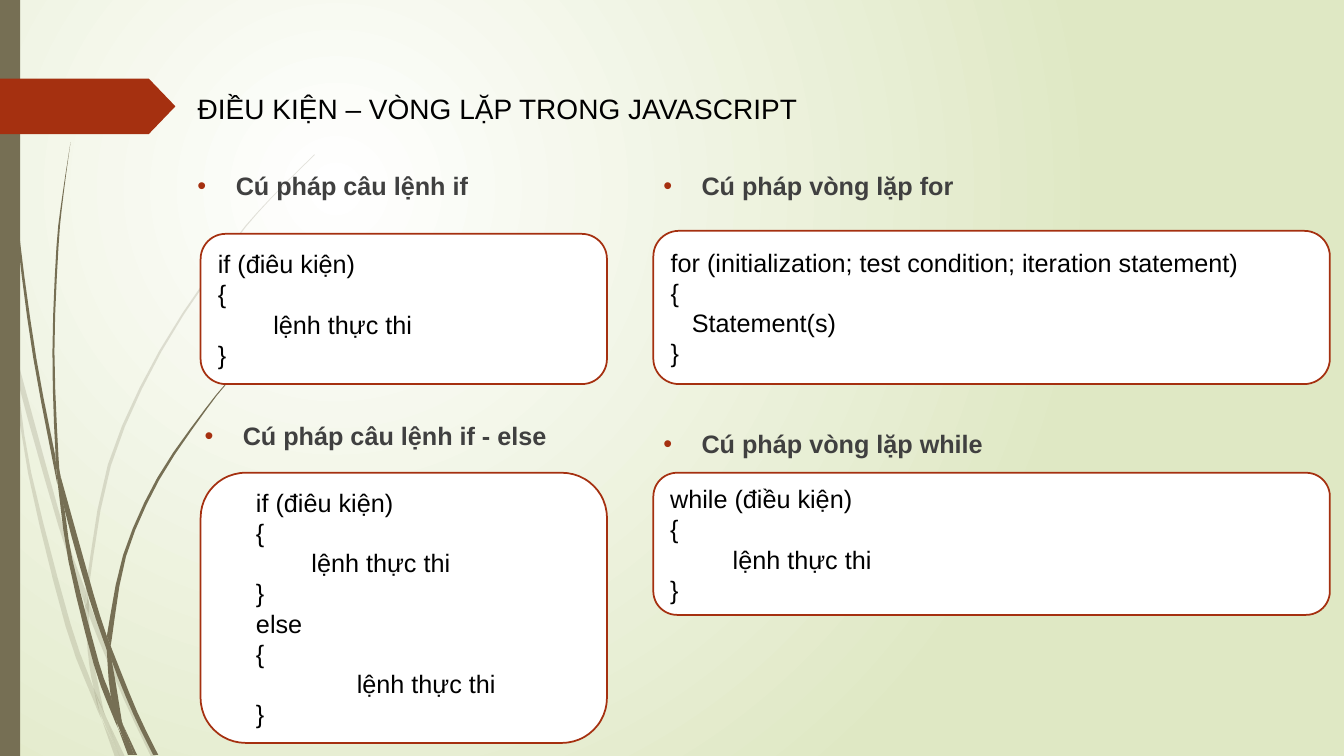
"""Build the slide on conditions and loops in JavaScript."""
import pptx
import pptx.dml.color
import pptx.enum.shapes
import pptx.enum.text
import pptx.oxml
import pptx.oxml.ns
import pptx.util

TITLE = "ĐIỀU KIỆN – VÒNG LẶP TRONG JAVASCRIPT"
HEADS = [
    ("Cú pháp câu lệnh if", 1.86, 1.64),
    ("Cú pháp câu lệnh if - else", 1.93, 4.12),
    ("Cú pháp vòng lặp for", 6.48, 1.64),
    ("Cú pháp vòng lặp while", 6.48, 4.2),
]
RUN = "lệnh thực thi"
CODES = [
    ((1.99, 2.32, 4.03, 1.49), 0, [("if (điêu kiện)", 0), ("{", 0), (RUN, 0.55), ("}", 0)]),
    ((1.99, 4.69, 4.03, 2.68), 0.32, [
        ("if (điêu kiện)", 0), ("{", 0), (RUN, 0.55), ("}", 0),
        ("else", 0), ("{", 0), (RUN, 1), ("}", 0)]),
    ((6.48, 2.29, 6.71, 1.52), 0, [
        ("for (initialization; test condition; iteration statement)", 0),
        ("{", 0), ("Statement(s)", 0.21), ("}", 0)]),
    ((6.48, 4.69, 6.71, 1.41), 0, [("while (điều kiện)", 0), ("{", 0), (RUN, 0.62), ("}", 0)]),
]
PALE = [
    ([(0.11, 3.5), (0.09, 3.22), (0, 2.82)], [(0, 2.99), (0.1, 3.44), (0.11, 3.5)]),
    ([(0.14, 3.45), (0.17, 3.76), (0.58, 5.22), (0.84, 5.99)], [(0.85, 5.86), (0.62, 5.2), (0.14, 3.45)]),
    ([(0.88, 5.96), (0.88, 6.1), (1.23, 6.94), (1.5, 7.51)], [(1.55, 7.51), (1.27, 6.92), (0.92, 6.07), (0.88, 5.96)]),
    ([(1.05, 7.11), (1.19, 7.51)], [(1.24, 7.51), (1.05, 7.11)]),
    ([(0.11, 3.5), (0.28, 4.7), (0.65, 6.21), (0.92, 6.93), (1.01, 7.14)],
     [(0.99, 7.07), (0.93, 6.83), (0.7, 6.19), (0.31, 4.69), (0.17, 3.76), (0.11, 3.5)]),
    ([(0.84, 5.99), (0.87, 6.46), (0.93, 6.83), (1.05, 7.11)], [(1.03, 7.06), (0.91, 6.46), (0.88, 6.1), (0.84, 5.99)]),
    ([(3.12, 1.53), (2.68, 1.97), (2.28, 2.44), (1.58, 3.48), (1.07, 4.61), (0.85, 5.84)],
     [(0.88, 5.96), (0.88, 5.84), (1.1, 4.62), (1.6, 3.49), (2.29, 2.45), (2.68, 1.98), (3.12, 1.54)]),
    ([(1.01, 7.14), (1.14, 7.51)], [(1.19, 7.51), (1.01, 7.14)]),
    ([(0.85, 5.86), (0.84, 5.99), (0.88, 6.08)], [(0.88, 6.1), (0.88, 5.96), (0.85, 5.86)]),
    ([(0.93, 6.83), (0.99, 7.07), (1.19, 7.51)], [(1.19, 7.51), (1.05, 7.11), (0.93, 6.83)]),
]
DARK = [
    ([(0.03, 0), (0.04, 0.48), (0.07, 1.1), (0.17, 2.33), (0.33, 3.55), (0.57, 4.81)],
     [(0.55, 4.53), (0.36, 3.55), (0.19, 2.32), (0.08, 1.09), (0.05, 0.48), (0.04, 0)]),
    ([(0.6, 4.72), (0.64, 5.05), (0.88, 5.92), (1.06, 6.45)], [(1.06, 6.31), (0.93, 5.9), (0.6, 4.72)]),
    ([(1.1, 6.41), (1.11, 6.56), (1.32, 7.08), (1.52, 7.49)], [(1.57, 7.49), (1.36, 7.06), (1.13, 6.49), (1.1, 6.41)]),
    ([(0.57, 4.77), (0.68, 5.57), (0.93, 6.59), (1.11, 7.08), (1.17, 7.22)],
     [(1.16, 7.17), (1.1, 6.91), (0.98, 6.57), (0.72, 5.56), (0.64, 5.05), (0.57, 4.77)]),
    ([(0.7, 1.41), (0.62, 1.93), (0.56, 2.45), (0.52, 3.49), (0.55, 4.49), (0.6, 4.72)],
     [(0.6, 4.72), (0.58, 4.53), (0.54, 3.49), (0.58, 2.45), (0.63, 1.93), (0.7, 1.41)]),
    ([(1.22, 7.19), (1.33, 7.49)], [(1.36, 7.49), (1.22, 7.19)]),
    ([(0.55, 4.49), (0.57, 4.77), (0.64, 5.05)], [(0.6, 4.72), (0.55, 4.49)]),
    ([(2.6, 3.44), (2.31, 3.73), (2.04, 4.05), (1.56, 4.74), (1.22, 5.51), (1.06, 6.31)],
     [(1.1, 6.41), (1.11, 6.33), (1.25, 5.52), (1.58, 4.76), (2.05, 4.06), (2.31, 3.74), (2.61, 3.44)]),
    ([(1.17, 7.22), (1.27, 7.49)], [(1.31, 7.49), (1.17, 7.22)]),
    ([(1.06, 6.45), (1.1, 6.91), (1.22, 7.19)], [(1.21, 7.16), (1.11, 6.56), (1.06, 6.45)]),
    ([(1.06, 6.31), (1.06, 6.45), (1.11, 6.56)], [(1.1, 6.41), (1.06, 6.31)]),
    ([(1.1, 6.91), (1.16, 7.17), (1.3, 7.49)], [(1.33, 7.49), (1.22, 7.19), (1.1, 6.91)]),
]
THEME = {
    "font": "Arial", "title": 20, "body": 18, "edge": 1.25,
    "ink": "000000", "head": "404040", "red": "A53010", "stem": "766F54",
    "white": "FFFFFF", "green": "DFE8C4",
}
KIND = pptx.enum.shapes.MSO_SHAPE
ANCHOR = pptx.enum.text.MSO_ANCHOR
INCH = pptx.util.Inches
QN = pptx.oxml.ns.qn


def tint(name):
    return pptx.dml.color.RGBColor.from_string(THEME[name])


def apply(item, looks):
    for key, value in looks.items():
        setattr(item, key, value)


def node(tag, **attrs):
    item = pptx.oxml.parse_xml(f"<{tag} {pptx.oxml.ns.nsdecls('a')}/>")
    for key, value in attrs.items():
        item.set(key, str(value))
    return item


def paint(shape, name, edge=None):
    shape.shadow.inherit = False
    shape.fill.solid()
    shape.fill.fore_color.rgb = tint(name)
    if edge:
        shape.line.color.rgb = tint(edge)
        shape.line.width = pptx.util.Pt(THEME["edge"])
    else:
        shape.line.fill.background()
    return shape


def write(frame, lines, size, ink, bold=False, anchor=ANCHOR.TOP):
    apply(frame, {"word_wrap": True, "vertical_anchor": anchor,
                  "auto_size": pptx.enum.text.MSO_AUTO_SIZE.NONE})
    for row, (text, inset) in enumerate(lines):
        para = frame.add_paragraph() if row else frame.paragraphs[0]
        para.alignment = pptx.enum.text.PP_ALIGN.LEFT
        props = para._p.get_or_add_pPr()
        props.set("marL", str(INCH(inset)))
        props.set("indent", "0")
        run = para.add_run()
        run.text = text
        apply(run.font, {"name": THEME["font"], "size": pptx.util.Pt(THEME[size]), "bold": bold})
        run.font.color.rgb = tint(ink)


def curve(dots, steps=3):
    ends = [dots[0], *dots, dots[-1]]
    line = []
    for knots in zip(ends, ends[1:], ends[2:], ends[3:]):
        for t in (step / steps for step in range(steps)):
            line.append(tuple(
                q + t / 2 * (r - p + t * (2 * p - 5 * q + 4 * r - s + t * (3 * (q - r) + s - p)))
                for p, q, r, s in zip(*knots)))
    return line + [dots[-1]]


def stem(shapes, sides, alpha):
    dots = [(INCH(x), INCH(y)) for side in sides for x, y in curve(side)]
    pen = shapes.build_freeform(*dots[0])
    pen.add_line_segments(dots[1:], close=True)
    shape = paint(pen.convert_to_shape(), "stem")
    if alpha < 100:
        shape._element.find(".//" + QN("a:srgbClr")).append(node("a:alpha", val=alpha * 1000))


def block(shapes, kind, box, name, edge=None):
    return paint(shapes.add_shape(kind, *map(INCH, box)), name, edge)


def backdrop(slide):
    fill = slide.background.fill
    fill.gradient()
    for stop, name in zip(fill.gradient_stops, ("white", "green")):
        stop.color.rgb = tint(name)
    grad = slide.element.find(".//" + QN("a:gradFill"))
    grad.remove(grad.find(QN("a:lin")))
    glow = node("a:path", path="circle")
    glow.append(node("a:fillToRect", l=50000, t=50000, r=100000, b=100000))
    grad.append(glow)


def build():
    deck = pptx.Presentation()
    apply(deck, {"slide_width": INCH(13.33), "slide_height": INCH(7.5)})
    slide = deck.slides.add_slide(deck.slide_layouts[5])
    shapes = slide.shapes
    backdrop(slide)
    for group, alpha in ((PALE, 20), (DARK, 100)):
        for sides in group:
            stem(shapes, sides, alpha)
    block(shapes, KIND.RECTANGLE, (0, 0, 0.2, 7.5), "stem")
    block(shapes, KIND.PENTAGON, (0, 0.78, 1.74, 0.55), "red").adjustments[0] = 0.48
    title = shapes.title
    apply(title, dict(zip(("left", "top", "width", "height"), map(INCH, (1.86, 0.86, 11.32, 0.44)))))
    write(title.text_frame, [(TITLE, 0)], "title", "ink")
    for box, inset, lines in CODES:
        frame = block(shapes, KIND.ROUNDED_RECTANGLE, box, "white", "red").text_frame
        write(frame, [(text, inset + gap) for text, gap in lines], "body", "ink", anchor=ANCHOR.MIDDLE)
    for text, left, top in HEADS:
        frame = shapes.add_textbox(*map(INCH, (left, top, 4.15, 0.57))).text_frame
        write(frame, [(text, 0.38)], "body", "head", bold=True)
        props = frame.paragraphs[0]._p.get_or_add_pPr()
        props.set("indent", str(-INCH(0.38)))
        color = node("a:buClr")
        color.append(node("a:srgbClr", val=THEME["red"]))
        for part in (color, node("a:buFont", typeface=THEME["font"]), node("a:buChar", char="•")):
            props.append(part)
    deck.save("out.pptx")


build()
